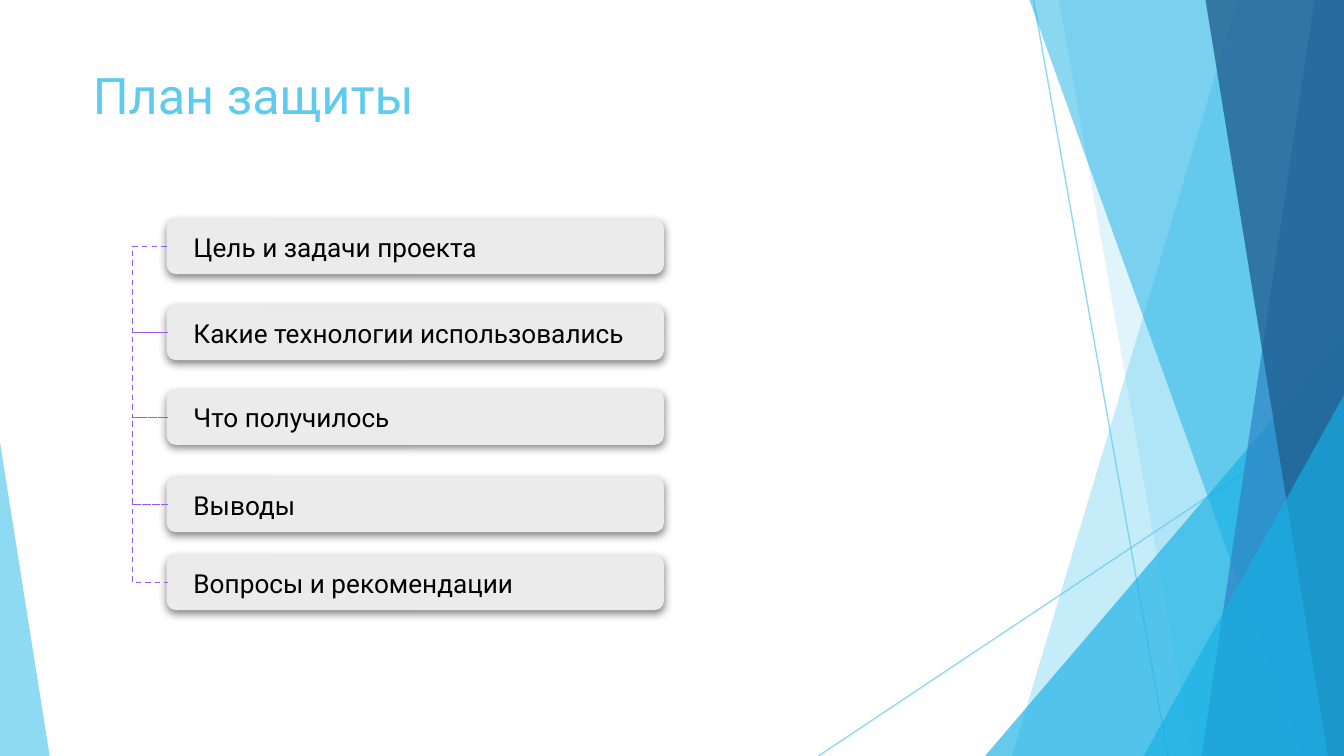
import itertools
import lxml.etree
import pptx
import pptx.dml.color
import pptx.enum.dml
import pptx.enum.shapes
import pptx.enum.text
import pptx.oxml.ns
import pptx.util

RGB = pptx.dml.color.RGBColor
SHAPE = pptx.enum.shapes.MSO_SHAPE
LINK = pptx.enum.shapes.MSO_CONNECTOR
ANCHOR = pptx.enum.text.MSO_ANCHOR

SKY = RGB(0x5F, 0xCB, 0xEF)
CYAN = RGB(0x17, 0xB0, 0xE4)
BLUE = RGB(0x2E, 0x83, 0xC3)
NAVY = RGB(0x22, 0x62, 0x92)
GRAY = RGB(0xEB, 0xEB, 0xEB)
BLACK = RGB(0, 0, 0)
VIOLET = RGB(0x98, 0x57, 0xF3)

COLS, ROWS = 100, 56.25
WIDE, HIGH = pptx.util.Inches(10), pptx.util.Inches(5.625)


def add(node, tag, **attrs):
    child = lxml.etree.SubElement(node, pptx.oxml.ns.qn(tag))
    for key, value in attrs.items():
        child.set(key, str(value))
    return child


def fade(node, share):
    color = next(node.iter(pptx.oxml.ns.qn("a:srgbClr")))
    add(color, "a:alpha", val=share * 1000)


def write(shape, text, size=14, color=BLACK, font="Roboto", anchor=ANCHOR.MIDDLE, side=1):
    frame = shape.text_frame
    frame.word_wrap = True
    frame.vertical_anchor = anchor
    frame.margin_left = frame.margin_right = pptx.util.Inches(side / 10)
    frame.margin_top = frame.margin_bottom = pptx.util.Inches(0.1)
    frame.text = text
    line = frame.paragraphs[0]
    line.alignment = pptx.enum.text.PP_ALIGN.LEFT
    line.font.size = pptx.util.Pt(size)
    line.font.name = font
    line.font.color.rgb = color


class Deck:
    def __init__(self):
        self.file = pptx.Presentation()
        self.file.slide_width, self.file.slide_height = WIDE, HIGH
        self.slide = self.file.slides.add_slide(self.file.slide_layouts[5])
        self.shapes = self.slide.shapes

    def grid(self, *cells):
        units = itertools.cycle((WIDE / COLS, HIGH / ROWS))
        return [round(cell * unit) for cell, unit in zip(cells, units)]

    def paint(self, shape, color, share=100):
        shape.shadow.inherit = False
        shape.fill.solid()
        shape.fill.fore_color.rgb = color
        shape.line.fill.background()
        if share < 100:
            fade(shape.fill._xPr, share)

    def title(self, text, *box):
        head = self.shapes.title
        head.left, head.top, head.width, head.height = self.grid(*box)
        write(head, text, size=27, color=SKY, anchor=ANCHOR.TOP)
        head.text_frame.auto_size = pptx.enum.text.MSO_AUTO_SIZE.SHAPE_TO_FIT_TEXT
        self.shapes._spTree.append(head._element)

    def band(self, top, base, color, share):
        points = [self.grid(*spot) for spot in
                  ((top, 0), (COLS, 0), (COLS, ROWS), (base, ROWS))]
        pen = self.shapes.build_freeform(*points[0])
        pen.add_line_segments(points[1:], close=True)
        self.paint(pen.convert_to_shape(), color, share)

    def wedge(self, left, top, width, peak, color, share):
        shape = self.shapes.add_shape(
            SHAPE.ISOSCELES_TRIANGLE, *self.grid(left, top, width, ROWS - top))
        shape.adjustments[0] = peak
        self.paint(shape, color, share)

    def line(self, kind, color, *ends):
        link = self.shapes.add_connector(kind, *self.grid(*ends))
        link.line.color.rgb = color
        link.line.width = pptx.util.Pt(0.75)
        add(link._element.spPr, "a:effectLst")
        return link

    def ray(self, *ends):
        fade(self.line(LINK.STRAIGHT, SKY, *ends)._element.spPr, 70)

    def hook(self, left, top, base, reach):
        thin = 0.1
        link = self.line(LINK.ELBOW, VIOLET, left, top, left + thin, base)
        link.line.dash_style = pptx.enum.dml.MSO_LINE.DASH
        bend = round(-reach / thin * 100000)
        guides = link._element.spPr.find(".//" + pptx.oxml.ns.qn("a:avLst"))
        add(guides, "a:gd", name="adj1", fmla=f"val {bend}")

    def card(self, text, *box):
        shape = self.shapes.add_shape(SHAPE.ROUNDED_RECTANGLE, *self.grid(*box))
        self.paint(shape, GRAY)
        effects = shape._element.spPr.find(pptx.oxml.ns.qn("a:effectLst"))
        shade = add(effects, "a:outerShdw", blurRad=pptx.util.Pt(4.5),
                    dist=pptx.util.Pt(1.5), dir=5400000, algn="bl", rotWithShape=0)
        add(shade, "a:srgbClr", val=BLACK)
        fade(shade, 50)
        write(shape, text, side=1.8)


def main():
    deck = Deck()
    deck.ray(76.9, 0, 86.9, ROWS)
    deck.ray(COLS, 30.2, 60.9, ROWS)
    deck.band(92.1, 75.3, SKY, 36)
    deck.band(78.8, 88.7, SKY, 20)
    deck.wedge(73.3, 25, 26.7, 1, CYAN, 66)
    deck.band(76.6, 96.8, CYAN, 50)
    deck.band(97.8, 89.4, BLUE, 70)
    deck.band(89.7, 98.8, NAVY, 80)
    deck.wedge(85.1, 29.4, 14.9, 1, CYAN, 66)
    deck.wedge(0, 32.9, 3.7, 0, SKY, 70)

    deck.title("План защиты", 5.9, 3.8, 93.2, 7.2)
    left, width, height = 12.4, 37, 4.1
    plan = {
        "Цель и задачи проекта": 16.3,
        "Какие технологии использовались": 22.7,
        "Что получилось": 29,
        "Выводы": 35.5,
        "Вопросы и рекомендации": 41.3,
    }
    for text, top in plan.items():
        deck.card(text, left, top, width, height)
    for top, base in itertools.pairwise(plan.values()):
        deck.hook(left, top + height / 2, base + height / 2, 2.6)
    deck.file.save("out.pptx")


if __name__ == "__main__":
    main()
